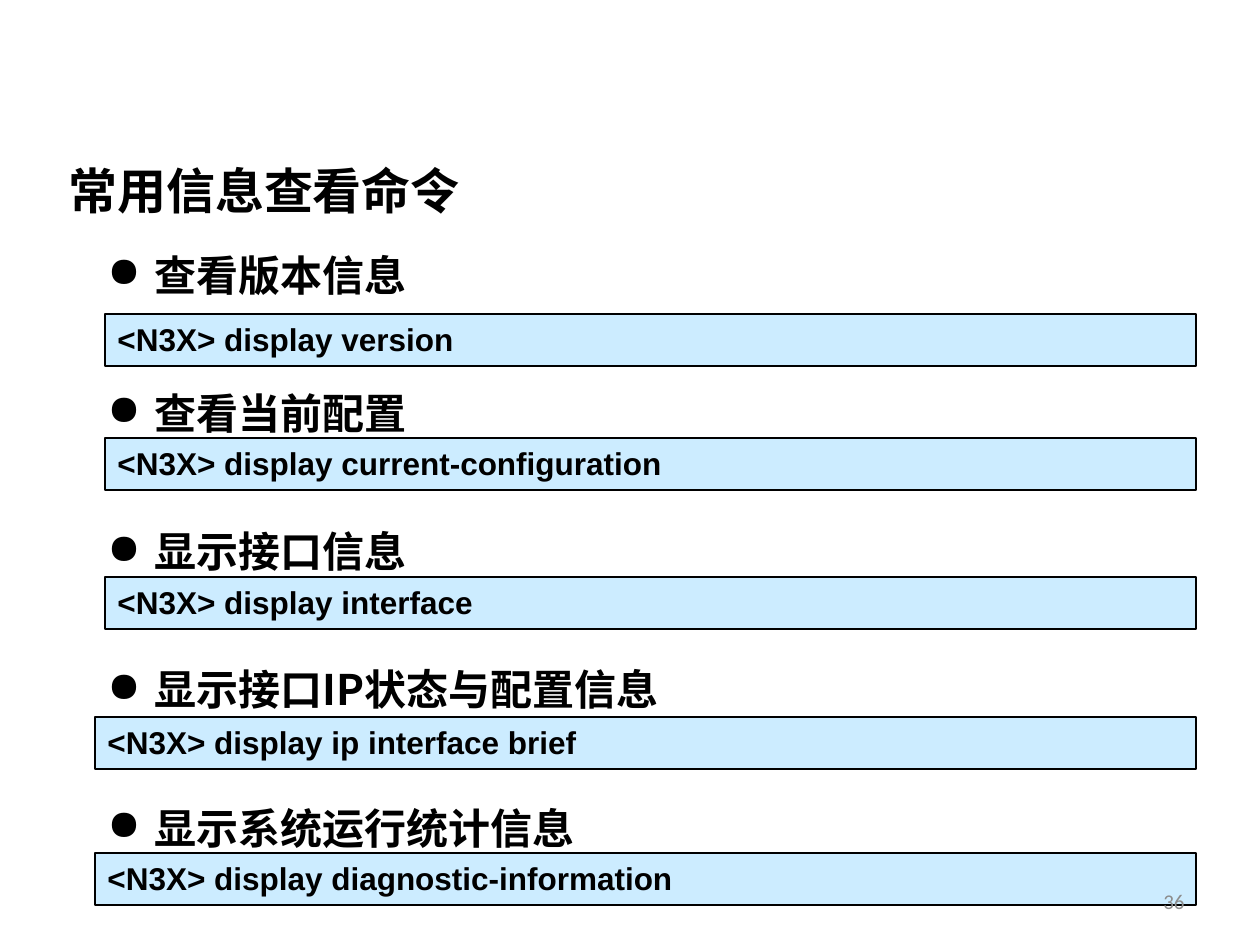
import pptx
import pptx.dml.color
import pptx.enum.shapes
import pptx.enum.text
import pptx.oxml.ns
import pptx.util
from lxml import etree

PX = 914400 / 126
ANCHOR = pptx.enum.text.MSO_ANCHOR
ALIGN = pptx.enum.text.PP_ALIGN

# heading, command, left and top of the command bar
COMMANDS = [
    ("查看版本信息", "version", 105, 314),
    ("查看当前配置", "current-configuration", 105, 438),
    ("显示接口信息", "interface", 105, 577),
    ("显示接口IP状态与配置信息", "ip interface brief", 95, 717),
    ("显示系统运行统计信息", "diagnostic-information", 95, 853),
]
BAR_RIGHT, BAR_HEIGHT = 1196, 52


def emu(*lengths):
    return [round(n * PX) for n in lengths]


def rgb(value):
    return pptx.dml.color.RGBColor.from_string(value)


def style(p, size, font, color="000000", bold=True):
    """Format every run, naming the font for East Asian text as well."""
    for r in p.runs:
        r.font.size = pptx.util.Pt(size)
        r.font.name = font
        r.font.bold = bold
        r.font.color.rgb = rgb(color)
        ea = etree.SubElement(r.font._element, pptx.oxml.ns.qn("a:ea"))
        ea.set("typeface", font)


def add_text(s, box, text, anchor=ANCHOR.TOP):
    tf = s.shapes.add_textbox(*emu(*box)).text_frame
    tf.word_wrap = True
    tf.vertical_anchor = anchor
    tf.text = text
    return tf


def add_title(s, box, text):
    tf = add_text(s, box, text, ANCHOR.MIDDLE)
    style(tf.paragraphs[0], 28, "Noto Sans CJK JP")


def add_bullets(s, box, headings):
    tf = add_text(s, box, "\n".join(headings))
    for p in tf.paragraphs:
        p.line_spacing = pptx.util.Pt(36)
        p.space_after = pptx.util.Pt(42.9)
        pPr = p._p.get_or_add_pPr()
        indent = emu(47)[0]
        pPr.set("marL", str(indent))
        pPr.set("indent", str(-indent))
        bullet = etree.SubElement(pPr, pptx.oxml.ns.qn("a:buChar"))
        bullet.set("char", "●")
        style(p, 24, "Noto Sans CJK SC")


def add_command(s, box, command):
    sp = s.shapes.add_shape(pptx.enum.shapes.MSO_SHAPE.RECTANGLE, *emu(*box))
    sp.shadow.inherit = False
    sp.fill.solid()
    sp.fill.fore_color.rgb = rgb("CCECFF")
    sp.line.color.rgb = rgb("000000")
    sp.line.width = pptx.util.Pt(0.75)
    tf = sp.text_frame
    tf.word_wrap = True
    tf.vertical_anchor = ANCHOR.TOP
    tf.text = f"<N3X> display {command}"
    p = tf.paragraphs[0]
    p.alignment = ALIGN.LEFT
    style(p, 18, "Arial")


def add_page_number(s, box, number):
    p = add_text(s, box, number, ANCHOR.MIDDLE).paragraphs[0]
    p.alignment = ALIGN.RIGHT
    style(p, 12, "Calibri", "8C8C8C", bold=False)


def main():
    prs = pptx.Presentation()
    prs.slide_width, prs.slide_height = emu(1260, 945)
    s = prs.slides.add_slide(prs.slide_layouts[6])
    add_title(s, (56, 145, 1085, 89), "常用信息查看命令")
    add_bullets(s, (95, 231, 1012, 655), [row[0] for row in COMMANDS])
    for _, command, left, top in COMMANDS:
        add_command(s, (left, top, BAR_RIGHT - left, BAR_HEIGHT), command)
    add_page_number(s, (903, 876, 294, 50), "36")
    prs.save("out.pptx")


if __name__ == "__main__":
    main()
